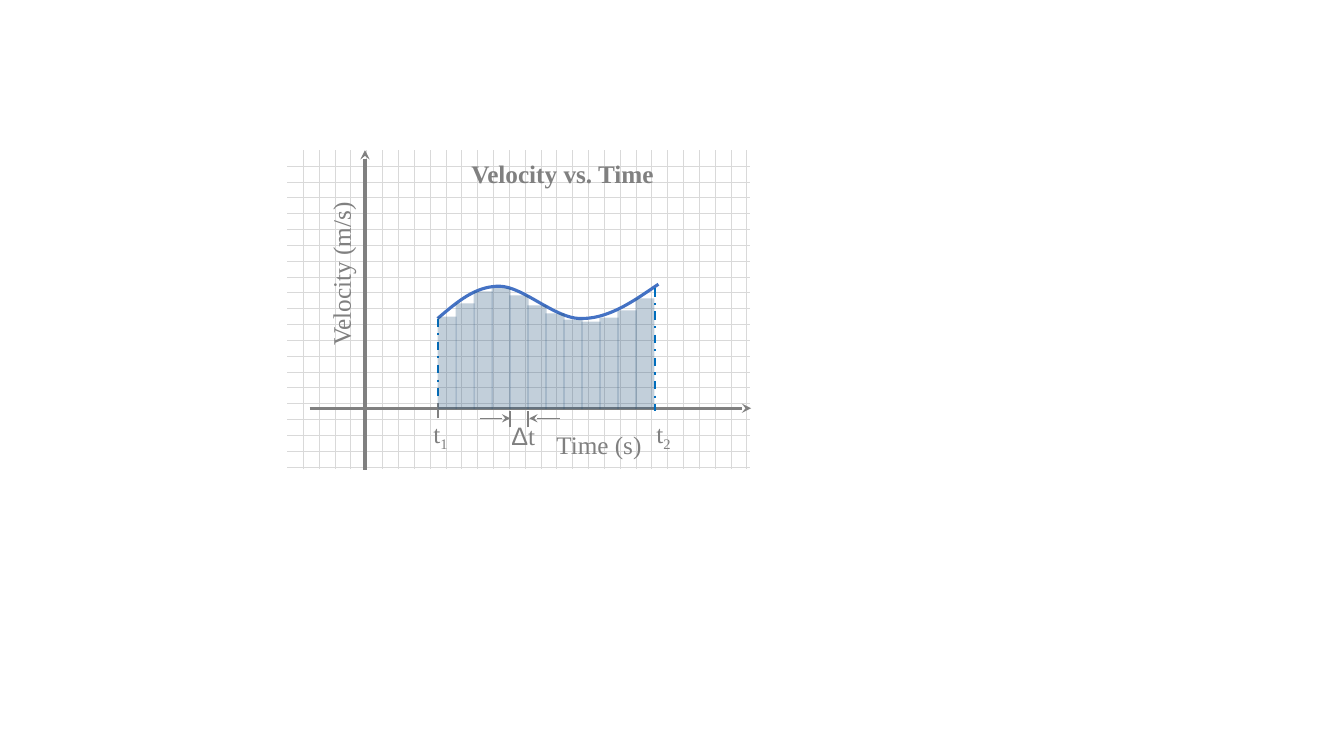
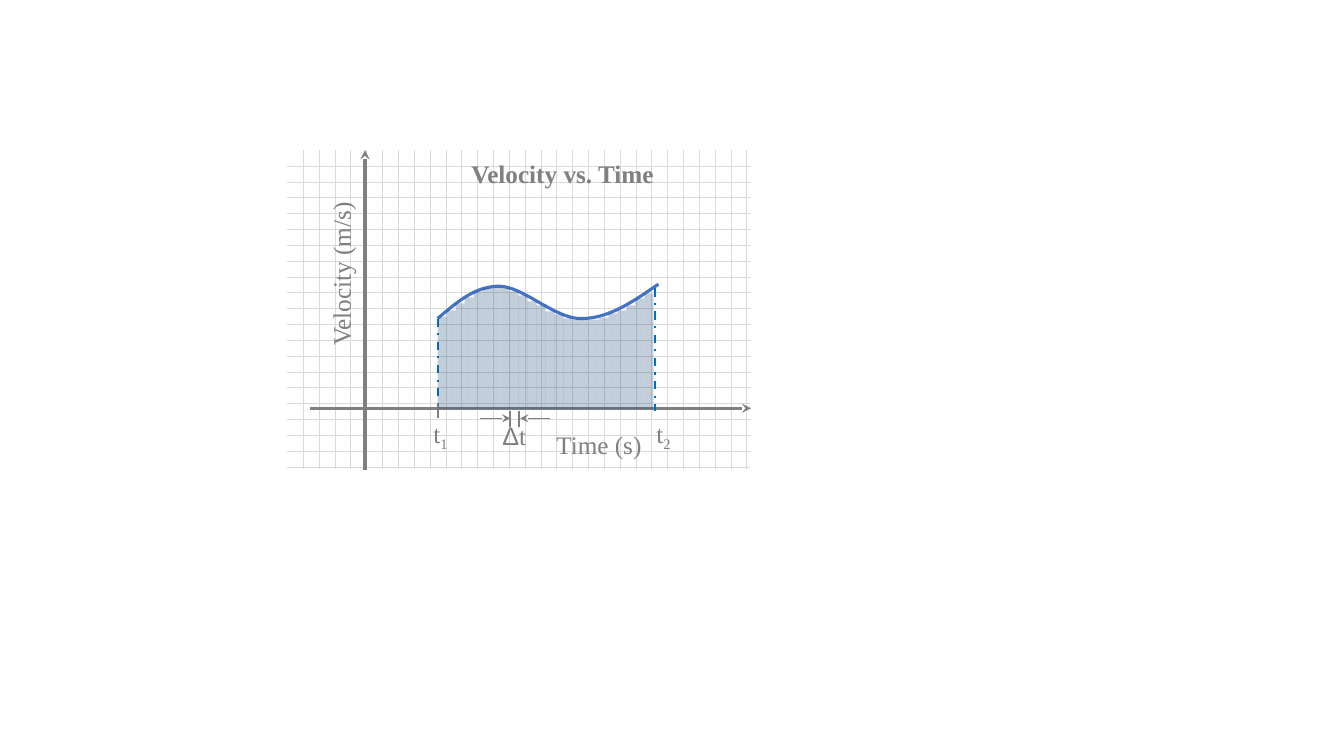
from lxml import etree
from pptx import Presentation
from pptx.dml.color import RGBColor
from pptx.enum import dml, shapes, text
from pptx.oxml import ns
from pptx import util as u

GRAY = RGBColor(0x80, 0x80, 0x80)
GRID_GRAY = RGBColor(0xD9, 0xD9, 0xD9)
WHITE = RGBColor(0xFF, 0xFF, 0xFF)
CURVE_BLUE = RGBColor(0x44, 0x72, 0xC4)
LIMIT_BLUE = RGBColor(0x00, 0x70, 0xC0)
BAR_BLUE = RGBColor(0x1F, 0x4E, 0x79)
SERIF = "Times New Roman"
SANS = "Arial"

CELL = u.Inches(0.01)
COLUMNS, ROWS = 1333, 750
TIME_ROW = 405
START, END = 434, 650
BAR_SPAN = 214
BAR_BOTTOM = 406
DELTA_START = 506
ARROW_LENGTH = 30
CURVE_STEPS = 24

CURVE_START = (434, 316)
CURVE_PIECES = [
    [(453, 300), (471, 284), (495, 284)],
    [(519, 284), (551, 317), (577, 316)],
    [(604, 316), (628, 299), (653, 282)],
]
COARSE_TOPS = [314, 301, 289, 286, 293, 303, 311, 317, 319, 315, 308, 296]
FINE_TOPS = [
    314, 308, 301, 295, 289, 286, 286, 286, 289, 293, 299, 303,
    309, 312, 316, 317, 317, 317, 315, 311, 308, 303, 296, 291,
]
SLIDES = [
    {"tops": COARSE_TOPS, "bar_width": 19, "delta_width": 18, "delta_label": 506},
    {"tops": FINE_TOPS, "bar_width": 9, "delta_width": 9, "delta_label": 497},
]
LABELS = [
    (498, 426, 192, 0, False, [("Time (s)", SERIF, None)]),
    (253, 257, 170, 270, False, [("Velocity (m/s)", SERIF, None)]),
    (426, 157, 264, 0, True, [("Velocity vs. Time", SERIF, None)]),
    (426, 415, 22, 0, False, [("t", SERIF, None), ("1", SERIF, "-25000")]),
    (647, 415, 22, 0, False, [("t", SERIF, None), ("2", SERIF, "-25000")]),
]


def add_line(page, begin, end, color, width, dash=None, arrow=False):
    line = page.shapes.add_connector(
        shapes.MSO_CONNECTOR.STRAIGHT, *(CELL * place for place in begin + end)
    )
    line.line.color.rgb = color
    line.line.width = u.Pt(width)
    if dash:
        line.line.dash_style = dash
    properties = line._element.spPr
    if arrow:
        outline = properties.find(ns.qn("a:ln"))
        etree.SubElement(outline, ns.qn("a:tailEnd"), type="stealth")
    etree.SubElement(properties, ns.qn("a:effectLst"))


def add_label(page, left, top, width, rotation, bold, spans):
    box = page.shapes.add_textbox(CELL * left, CELL * top, CELL * width, CELL * 30)
    box.rotation = rotation
    frame = box.text_frame
    frame.word_wrap = True
    frame.auto_size = text.MSO_AUTO_SIZE.SHAPE_TO_FIT_TEXT
    frame.margin_left = frame.margin_right = 0
    frame.margin_top = frame.margin_bottom = 0
    para = frame.paragraphs[0]
    para.alignment = text.PP_ALIGN.CENTER
    for wording, font, baseline in spans:
        span = para.add_run()
        span.text = wording
        span.font.name = font
        span.font.size = u.Pt(18)
        span.font.bold = bold
        span.font.color.rgb = GRAY
        if baseline:
            span.font._element.set("baseline", baseline)


curve_points = []
piece_start = CURVE_START
for first_control, second_control, piece_end in CURVE_PIECES:
    for step in range(1, CURVE_STEPS + 1):
        t = step / CURVE_STEPS
        curve_points.append([
            CELL * (a * (1 - t) ** 3 + 3 * b * t * (1 - t) ** 2
                    + 3 * c * t ** 2 * (1 - t) + d * t ** 3)
            for a, b, c, d in zip(piece_start, first_control, second_control, piece_end)
        ])
    piece_start = piece_end

deck = Presentation()
deck.slide_width = CELL * COLUMNS
deck.slide_height = CELL * ROWS

for settings in SLIDES:
    page = deck.slides.add_slide(deck.slide_layouts[6])

    graph_paper = page.shapes.add_shape(
        shapes.MSO_SHAPE.RECTANGLE, CELL * 285, CELL * 149, CELL * 459, CELL * 316
    )
    graph_paper.shadow.inherit = False
    graph_paper.line.fill.background()
    graph_paper.fill.patterned()
    graph_paper.fill.pattern = dml.MSO_PATTERN.DOTTED_GRID
    graph_paper.fill.fore_color.rgb = GRID_GRAY
    graph_paper.fill.back_color.rgb = WHITE

    add_line(page, (362, 466), (362, 149), GRAY, 2.25, arrow=True)
    add_line(page, (307, TIME_ROW), (745, TIME_ROW), GRAY, 2.25, arrow=True)
    for label in LABELS:
        add_label(page, *label)

    builder = page.shapes.build_freeform(*(CELL * place for place in CURVE_START))
    builder.add_line_segments(curve_points, close=False)
    curve = builder.convert_to_shape()
    curve.shadow.inherit = False
    curve.fill.background()
    curve.line.color.rgb = CURVE_BLUE
    curve.line.width = u.Pt(2.25)

    for column, top, bottom in [(START, 316, 409), (END, 286, 408)]:
        add_line(page, (column, top), (column, bottom), LIMIT_BLUE, 1.5,
                 dash=dml.MSO_LINE.DASH_DOT)
    add_line(page, (START, 415), (START, 400), GRAY, 1.5)

    delta_end = DELTA_START + settings["delta_width"]
    add_label(page, settings["delta_label"], 417, 26, 0, False,
              [("Δ", SANS, None), ("t", SERIF, None)])
    for column in (DELTA_START, delta_end):
        add_line(page, (column, 424), (column, 408), GRAY, 1.5)
    for tip, tail in [(DELTA_START, DELTA_START - ARROW_LENGTH),
                      (delta_end + 1, delta_end + 1 + ARROW_LENGTH)]:
        add_line(page, (tail, 415), (tip, 415), GRAY, 1, arrow=True)

    pitch = BAR_SPAN / len(settings["tops"])
    for index, top in enumerate(settings["tops"]):
        bar = page.shapes.add_shape(
            shapes.MSO_SHAPE.RECTANGLE,
            round(CELL * (START + index * pitch)), CELL * top,
            CELL * settings["bar_width"], CELL * (BAR_BOTTOM - top),
        )
        bar.shadow.inherit = False
        bar.line.fill.background()
        bar.fill.solid()
        bar.fill.fore_color.rgb = BAR_BLUE
        color = bar._element.spPr.find(ns.qn("a:solidFill"))[0]
        etree.SubElement(color, ns.qn("a:alpha"), val="27000")

deck.save("out.pptx")
